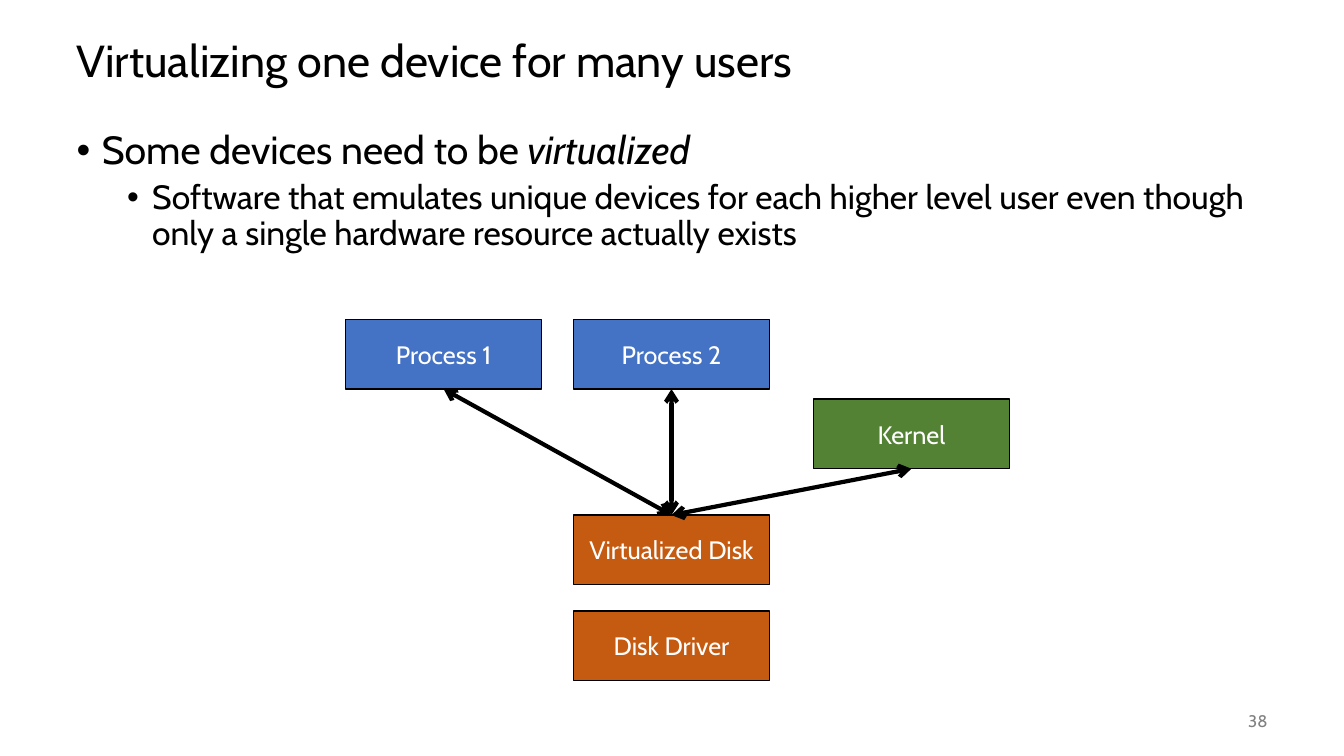
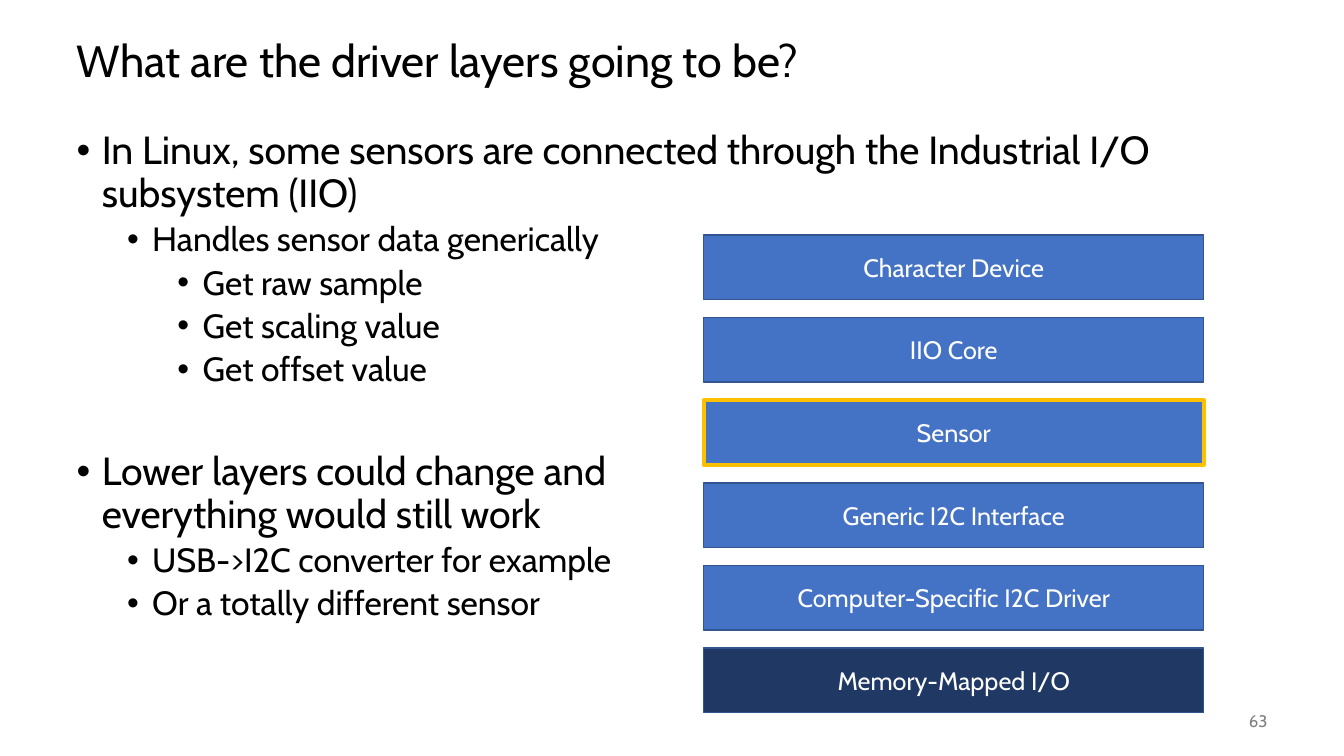
from dataclasses import dataclass

from lxml import etree
from pptx import Presentation
from pptx.dml.color import RGBColor
from pptx.enum.shapes import MSO_CONNECTOR, MSO_SHAPE
from pptx.enum.text import MSO_ANCHOR, MSO_AUTO_SIZE, PP_ALIGN
from pptx.oxml.ns import qn
from pptx.shapes.autoshape import Shape
from pptx.slide import Slide
from pptx.text.text import TextFrame, _Paragraph
from pptx.util import Inches, Pt

RECT = MSO_SHAPE.RECTANGLE
STRAIGHT = MSO_CONNECTOR.STRAIGHT
MIDDLE, TOP = MSO_ANCHOR.MIDDLE, MSO_ANCHOR.TOP
LEFT, CENTER, RIGHT = PP_ALIGN.LEFT, PP_ALIGN.CENTER, PP_ALIGN.RIGHT
NO_FIT = MSO_AUTO_SIZE.NONE

FONT = "Cabin"
BLACK = RGBColor(0x00, 0x00, 0x00)
WHITE = RGBColor(0xFF, 0xFF, 0xFF)
GRAY = RGBColor(0x80, 0x80, 0x80)
BLUE = RGBColor(0x44, 0x72, 0xC4)
EDGE = RGBColor(0x32, 0x54, 0x91)
NAVY = RGBColor(0x20, 0x38, 0x64)
GREEN = RGBColor(0x54, 0x82, 0x35)
ORANGE = RGBColor(0xC5, 0x5A, 0x11)
GOLD = RGBColor(0xFF, 0xC0, 0x00)

SIZES = (28, 24, 24)
GAPS = (14, 5, 5)
BOTTOM_SIDE, TOP_SIDE = 2, 0


@dataclass
class Item:
    level: int
    text: str
    accent: str = ""
    gap: float | None = None


@dataclass
class Box:
    text: str
    left: float
    top: float
    width: float
    height: float
    fill: RGBColor
    edge: RGBColor = BLACK
    weight: float = 1


def add_run(para: _Paragraph, text: str, size: float, color: RGBColor,
            italic: bool = False) -> None:
    run = para.add_run()
    run.text = text
    font = run.font
    font.name, font.size, font.italic = FONT, Pt(size), italic
    font.color.rgb = color


def set_frame(frame: TextFrame, anchor: MSO_ANCHOR) -> None:
    frame.word_wrap = True
    frame.auto_size = NO_FIT
    frame.vertical_anchor = anchor


def place(shape: Shape, left: float, top: float, width: float,
          height: float) -> None:
    shape.left, shape.top = Inches(left), Inches(top)
    shape.width, shape.height = Inches(width), Inches(height)


def add_bullet(para: _Paragraph, level: int) -> None:
    para.level = level
    props = para._p.get_or_add_pPr()
    props.set("marL", str(Inches(0.25 + 0.5 * level)))
    props.set("indent", str(Inches(-0.25)))
    etree.SubElement(props, qn("a:buFont")).set("typeface", "Arial")
    etree.SubElement(props, qn("a:buChar")).set("char", "•")


def fill_body(frame: TextFrame, items: list[Item]) -> None:
    set_frame(frame, TOP)
    for i, item in enumerate(items):
        para = frame.add_paragraph() if i else frame.paragraphs[0]
        add_bullet(para, item.level)
        para.alignment = LEFT
        para.line_spacing = 0.9
        gap = GAPS[item.level] if item.gap is None else item.gap
        para.space_before = Pt(gap if i else 0)
        size = SIZES[item.level]
        for j, line in enumerate(item.text.split("\n")):
            if j:
                para.add_line_break()
            add_run(para, line, size, BLACK)
        if item.accent:
            add_run(para, item.accent, size, BLACK, italic=True)


def add_page(deck: Presentation, title: str, items: list[Item],
             number: int) -> Slide:
    """Add a slide with its title, bullet list and page number."""
    slide = deck.slides.add_slide(deck.slide_layouts[1])
    head, body = slide.shapes.title, slide.placeholders[1]
    place(head, 0.66, 0.25, 12, 0.75)
    set_frame(head.text_frame, MIDDLE)
    para = head.text_frame.paragraphs[0]
    para.alignment = LEFT
    para.line_spacing = 0.9
    add_run(para, title, 32, BLACK)

    place(body, 0.66, 1.25, 12, 5.5)
    fill_body(body.text_frame, items)

    foot = slide.shapes.add_textbox(Inches(11.67), Inches(6.95),
                                    Inches(1), Inches(0.4))
    set_frame(foot.text_frame, MIDDLE)
    para = foot.text_frame.paragraphs[0]
    para.alignment = RIGHT
    add_run(para, str(number), 12, GRAY)
    return slide


def add_box(slide: Slide, box: Box) -> Shape:
    shape = slide.shapes.add_shape(RECT, Inches(box.left), Inches(box.top),
                                   Inches(box.width), Inches(box.height))
    shape.shadow.inherit = False
    shape.fill.solid()
    shape.fill.fore_color.rgb = box.fill
    shape.line.color.rgb = box.edge
    shape.line.width = Pt(box.weight)
    set_frame(shape.text_frame, MIDDLE)
    para = shape.text_frame.paragraphs[0]
    para.alignment = CENTER
    add_run(para, box.text, 18, WHITE)
    return shape


def add_link(slide: Slide, lower: Shape, upper: Shape) -> None:
    """Join two boxes with a double-headed arrow."""
    link = slide.shapes.add_connector(STRAIGHT, 0, 0, 0, 0)
    link.begin_connect(lower, TOP_SIDE)
    link.end_connect(upper, BOTTOM_SIDE)
    link.line.color.rgb = BLACK
    link.line.width = Pt(3)
    line = link.line._get_or_add_ln()
    for tag in ("a:headEnd", "a:tailEnd"):
        etree.SubElement(line, qn(tag)).set("type", "arrow")
    etree.SubElement(link._element.spPr, qn("a:effectLst"))


def draw_sharing(deck: Presentation) -> None:
    slide = add_page(deck, "Virtualizing one device for many users", [
        Item(0, "Some devices need to be ", "virtualized"),
        Item(1, "Software that emulates unique devices for each higher level "
                "user even though only a single hardware resource actually "
                "exists"),
    ], 38)
    wide, high, mid = 1.94, 0.69, 5.69
    users = [add_box(slide, Box(text, left, top, wide, high, fill))
             for text, left, top, fill in (
                 ("Process 1", 3.43, 3.17, BLUE),
                 ("Process 2", mid, 3.17, BLUE),
                 ("Kernel", 8.07, 3.96, GREEN))]
    add_box(slide, Box("Disk Driver", mid, 6.06, wide, high, ORANGE))
    disk = add_box(slide, Box("Virtualized Disk", mid, 5.11, wide, high,
                              ORANGE))
    for user in users:
        add_link(slide, disk, user)


def draw_layers(deck: Presentation) -> None:
    slide = add_page(deck, "What are the driver layers going to be?", [
        Item(0, "In Linux, some sensors are connected through the Industrial "
                "I/O subsystem (IIO)"),
        Item(1, "Handles sensor data generically"),
        Item(2, "Get raw sample"),
        Item(2, "Get scaling value"),
        Item(2, "Get offset value"),
        Item(0, "Lower layers could change and\neverything would still work",
             gap=45),
        Item(1, "USB->I2C converter for example"),
        Item(1, "Or a totally different sensor"),
    ], 63)
    layers = (
        ("Character Device", BLUE, EDGE, 1),
        ("IIO Core", BLUE, EDGE, 1),
        ("Sensor", BLUE, GOLD, 3),
        ("Generic I2C Interface", BLUE, EDGE, 1),
        ("Computer-Specific I2C Driver", BLUE, EDGE, 1),
        ("Memory-Mapped I/O", NAVY, EDGE, 1),
    )
    for i, (text, fill, edge, weight) in enumerate(layers):
        add_box(slide, Box(text, 6.98, 2.33 + 0.82 * i, 4.96, 0.64,
                           fill, edge, weight))


def main() -> None:
    deck = Presentation()
    deck.slide_width, deck.slide_height = Inches(13.33), Inches(7.5)
    draw_sharing(deck)
    draw_layers(deck)
    deck.save("out.pptx")


if __name__ == "__main__":
    main()
